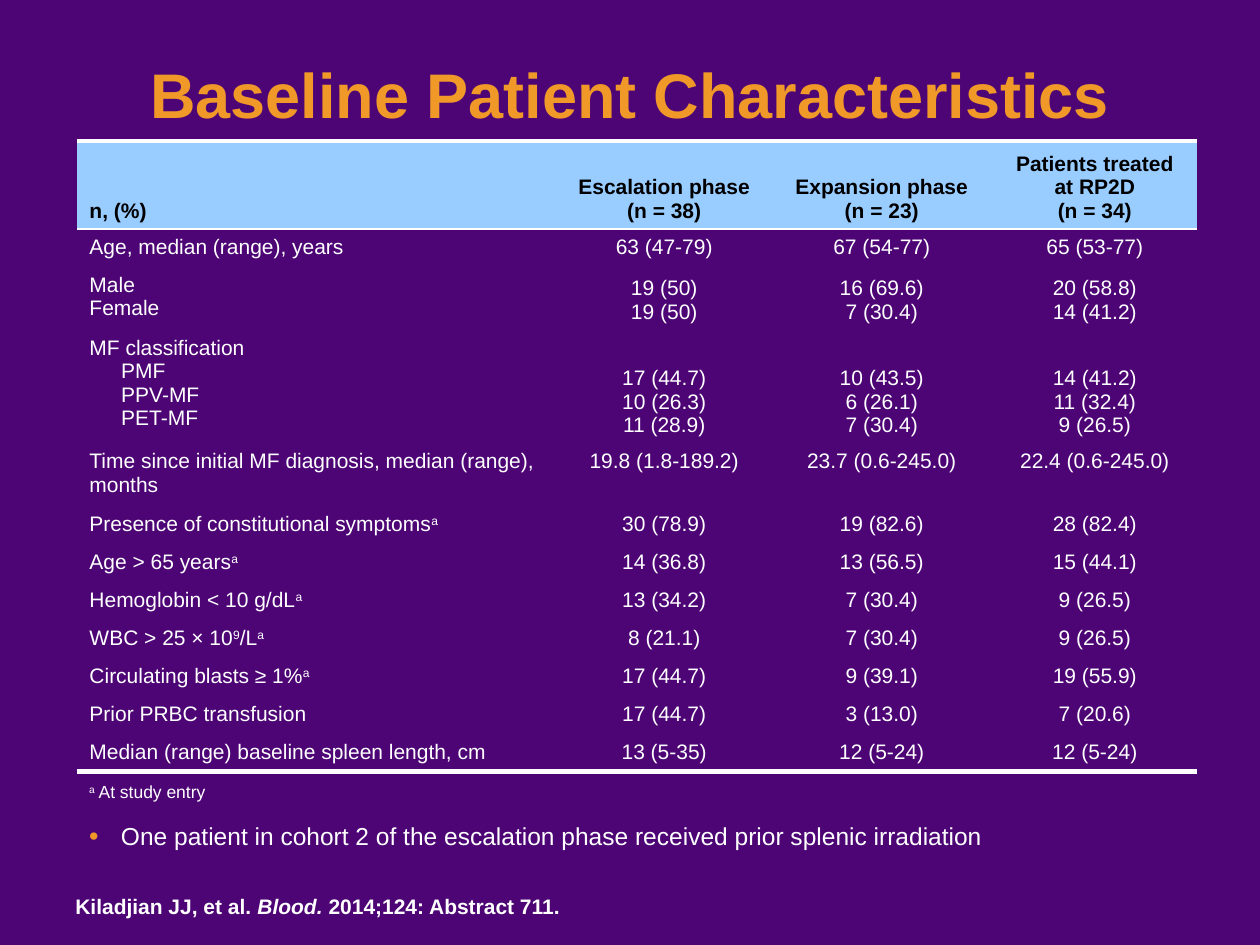
from lxml import etree
from pptx import Presentation
from pptx.dml.color import RGBColor
from pptx.enum.text import MSO_ANCHOR, PP_ALIGN
from pptx.oxml.ns import qn
from pptx.util import Cm, Pt

TOP, BOTTOM = MSO_ANCHOR.TOP, MSO_ANCHOR.BOTTOM
LEFT, CENTER = PP_ALIGN.LEFT, PP_ALIGN.CENTER

PURPLE = RGBColor(0x4D, 0x05, 0x75)
ORANGE = RGBColor(0xF0, 0x98, 0x28)
SKY = RGBColor(0x99, 0xCC, 0xFF)
WHITE = RGBColor(0xFF, 0xFF, 0xFF)
BLACK = RGBColor(0, 0, 0)

FONT = "Arial"
NO_GRID_STYLE = "{2D5ABB26-0587-4C30-8999-92F81FD0307C}"
THICK, THIN = Pt(3), Pt(1)
INDENT = Cm(0.64)
COLUMN_WIDTHS = (9.68, 4.32, 4.45, 4.14)
# Least heights: the rows grow to fit their text
HEADER_HEIGHT, ROW_HEIGHT = 1.04, 0.38

# Text between a pair of carets is superscript; a leading tab marks an indented line
HEADER = ("n, (%)", "Escalation phase\n(n = 38)", "Expansion phase\n(n = 23)",
          "Patients treated at RP2D\n(n = 34)")
CHARACTERISTICS = [
    ("Age, median (range), years", "63 (47-79)", "67 (54-77)", "65 (53-77)"),
    ("Male\nFemale", "19 (50)\n19 (50)", "16 (69.6)\n7 (30.4)", "20 (58.8)\n14 (41.2)"),
    ("MF classification\n\tPMF\n\tPPV-MF\n\tPET-MF",
     "17 (44.7)\n10 (26.3)\n11 (28.9)",
     "10 (43.5)\n6 (26.1)\n7 (30.4)",
     "14 (41.2)\n11 (32.4)\n9 (26.5)"),
    ("Time since initial MF diagnosis, median (range), months",
     "19.8 (1.8-189.2)", "23.7 (0.6-245.0)", "22.4 (0.6-245.0)"),
    ("Presence of constitutional symptoms^a^", "30 (78.9)", "19 (82.6)", "28 (82.4)"),
    ("Age ˃ 65 years^a^", "14 (36.8)", "13 (56.5)", "15 (44.1)"),
    ("Hemoglobin < 10 g/dL^a^", "13 (34.2)", "7 (30.4)", "9 (26.5)"),
    ("WBC > 25 × 10^9^/L^a^", "8 (21.1)", "7 (30.4)", "9 (26.5)"),
    ("Circulating blasts ≥ 1%^a^", "17 (44.7)", "9 (39.1)", "19 (55.9)"),
    ("Prior PRBC transfusion", "17 (44.7)", "3 (13.0)", "7 (20.6)"),
    ("Median (range) baseline spleen length, cm", "13 (5-35)", "12 (5-24)", "12 (5-24)"),
]


def superscript(run):
    run._r.get_or_add_rPr().set("baseline", "30000")


def italic(run):
    run.font.italic = True


def write(paragraph, text, size, color, bold=False, align=LEFT, emphasis=superscript):
    """Fill a paragraph, giving the emphasis to text between carets."""
    paragraph.alignment = align
    font_format = {"name": FONT, "size": Pt(size), "bold": bold}
    for position, piece in enumerate(text.split("^")):
        if not piece:
            continue
        run = paragraph.add_run()
        run.text = piece
        for attribute, value in font_format.items():
            setattr(run.font, attribute, value)
        run.font.color.rgb = color
        if position % 2:
            emphasis(run)


def add_text(slide, left, top, width, height, text, anchor=TOP, wrap=True, **style):
    box = slide.shapes.add_textbox(Cm(left), Cm(top), Cm(width), Cm(height))
    frame = box.text_frame
    frame.word_wrap = wrap
    frame.vertical_anchor = anchor
    write(frame.paragraphs[0], text, **style)
    return frame.paragraphs[0]


def add_bullet(paragraph, color):
    properties = paragraph._p.get_or_add_pPr()
    properties.set("marL", str(INDENT))
    properties.set("indent", str(-INDENT))
    bullet_color = etree.SubElement(properties, qn("a:buClr"))
    etree.SubElement(bullet_color, qn("a:srgbClr"), val=str(color))
    etree.SubElement(properties, qn("a:buSzPct"), val="110000")
    etree.SubElement(properties, qn("a:buFont"), typeface=FONT)
    etree.SubElement(properties, qn("a:buChar"), char="•")


def add_border(cell, side, width):
    """Draw a white border, or an explicit empty one when there is no width."""
    line = etree.SubElement(cell._tc.get_or_add_tcPr(), qn(f"a:{side}"))
    if not width:
        etree.SubElement(line, qn("a:noFill"))
        return
    line.set("w", str(width))
    fill = etree.SubElement(line, qn("a:solidFill"))
    etree.SubElement(fill, qn("a:srgbClr"), val=str(WHITE))


def fill_cell(cell, text, anchor, **style):
    cell.vertical_anchor = anchor
    frame = cell.text_frame
    for number, line in enumerate(text.split("\n")):
        paragraph = frame.add_paragraph() if number else frame.paragraphs[0]
        if line.startswith("\t"):
            paragraph._p.get_or_add_pPr().set("marL", str(INDENT))
        write(paragraph, line.strip("\t"), size=12, **style)


def add_characteristics_table(slide):
    rows = [HEADER] + CHARACTERISTICS
    table_frame = slide.shapes.add_table(len(rows), len(COLUMN_WIDTHS), Cm(1.55), Cm(2.84),
                                         Cm(sum(COLUMN_WIDTHS)), Cm(12.7))
    table = table_frame.table
    table._tbl.tblPr.find(qn("a:tableStyleId")).text = NO_GRID_STYLE
    table.horz_banding = False
    for column, width in zip(table.columns, COLUMN_WIDTHS):
        column.width = Cm(width)

    rules = [THICK, THIN] + [None] * (len(rows) - 2) + [THICK]
    for r, row in enumerate(rows):
        is_header = r == 0
        table.rows[r].height = Cm(HEADER_HEIGHT if is_header else ROW_HEIGHT)
        for c, text in enumerate(row):
            cell = table.cell(r, c)
            add_border(cell, "lnT", rules[r])
            add_border(cell, "lnB", rules[r + 1])
            if is_header:
                cell.fill.solid()
                cell.fill.fore_color.rgb = SKY
            else:
                cell.fill.background()
            # Multi-line values line up with the last lines of their label
            fill_cell(cell, text, BOTTOM if is_header or c and "\n" in text else TOP,
                      color=BLACK if is_header else WHITE, bold=is_header,
                      align=CENTER if c else LEFT)


def main():
    presentation = Presentation()
    presentation.slide_width, presentation.slide_height = Cm(25.4), Cm(19.05)
    slide = presentation.slides.add_slide(presentation.slide_layouts[6])
    slide.background.fill.solid()
    slide.background.fill.fore_color.rgb = PURPLE

    # Title and table
    add_text(slide, 0, 0.65, 25.4, 2.11, "Baseline Patient Characteristics",
             anchor=BOTTOM, size=36, color=ORANGE, bold=True, align=CENTER)
    add_characteristics_table(slide)

    # Remark, footnote and citation
    remark = add_text(slide, 1.55, 16.4, 23.32, 0.58,
                      "One patient in cohort 2 of the escalation phase "
                      "received prior splenic irradiation", size=14, color=WHITE)
    add_bullet(remark, ORANGE)
    remark.line_spacing = 1.05
    add_text(slide, 1.55, 15.62, 7.34, 0.69, "^a^ At study entry", size=10, color=WHITE)
    add_text(slide, 1.27, 17.88, 10.49, 0.76,
             "Kiladjian JJ, et al. ^Blood. ^2014;124: Abstract 711.", wrap=False,
             size=12, color=WHITE, bold=True, emphasis=italic)

    presentation.save("out.pptx")


if __name__ == "__main__":
    main()
